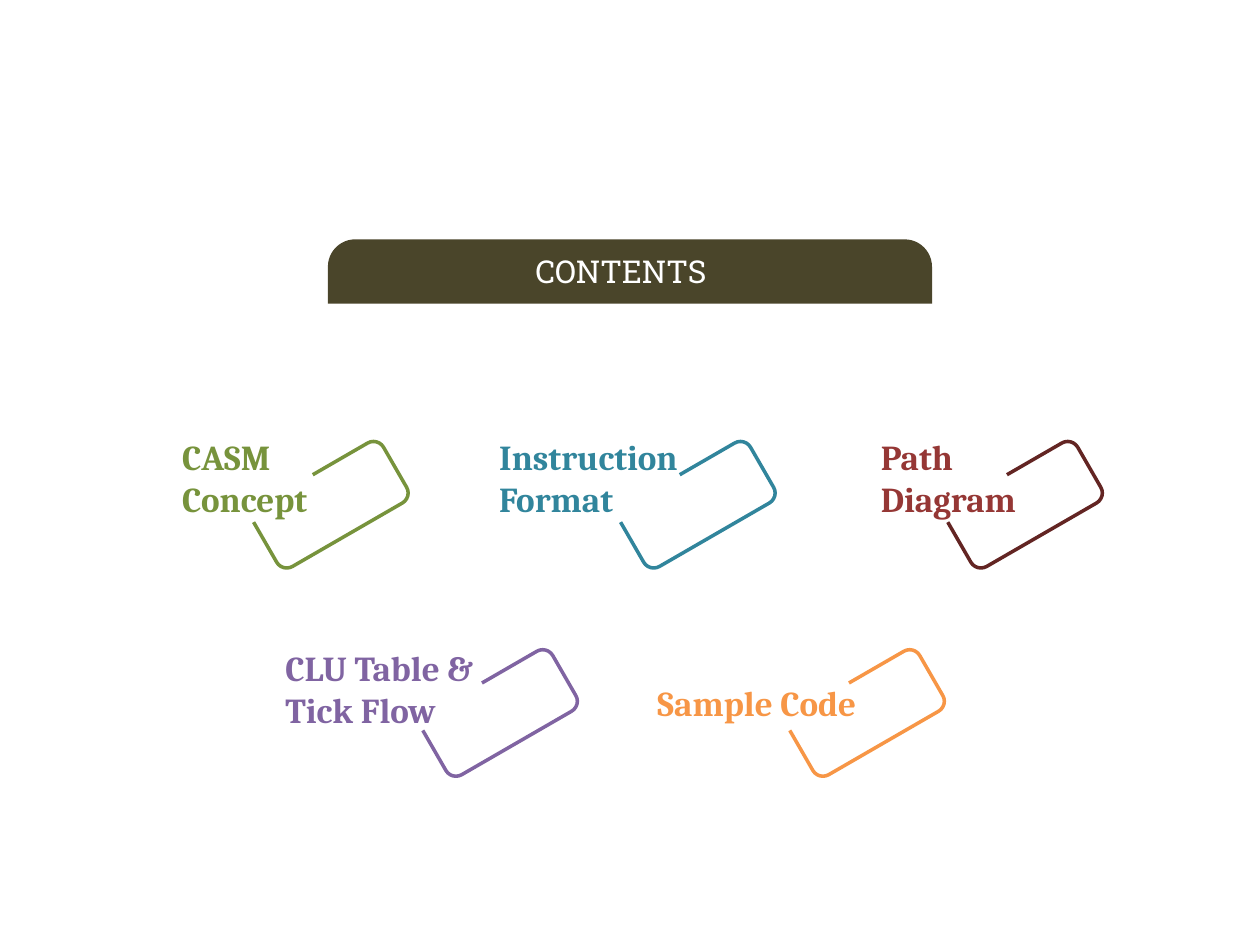
from lxml.etree import SubElement
from pptx import Presentation
from pptx.dml.color import RGBColor
from pptx.enum.shapes import MSO_SHAPE as SHAPE
from pptx.enum.text import MSO_AUTO_SIZE as AUTO
from pptx.oxml.ns import qn
from pptx.util import Pt


def rgb(color):
    return RGBColor.from_string(color)


class Deck:
    """Draws the contents banner and its topics on one slide."""

    frame_w, frame_h, radius = 85.7, 39.6, 6.6

    def __init__(self, prs):
        self.slide = prs.slides.add_slide(prs.slide_layouts[6])
        self.shapes = self.slide.shapes

    def banner(self, x, y, w, h, color):
        sp = self.shapes.add_shape(SHAPE.ROUND_2_SAME_RECTANGLE, Pt(x), Pt(y), Pt(w), Pt(h))
        sp.adjustments[0] = 0.425
        sp.shadow.inherit = False
        sp.fill.solid()
        sp.fill.fore_color.rgb = rgb(color)
        sp.line.fill.background()

    def text(self, x, y, w, h, text, size, font, color, bold=False):
        tf = self.shapes.add_textbox(Pt(x), Pt(y), Pt(w), Pt(h)).text_frame
        tf.text = text
        tf.word_wrap = False
        tf.auto_size = AUTO.SHAPE_TO_FIT_TEXT
        for p in tf.paragraphs:
            for r in p.runs:
                r.font.size = Pt(size)
                r.font.name = font
                r.font.bold = bold
                r.font.color.rgb = rgb(color)

    def frame(self, x, y, color):
        w, h, rad = Pt(self.frame_w), Pt(self.frame_h), Pt(self.radius)
        fb = self.shapes.build_freeform(w // 2, 0)
        fb.add_line_segments(
            [(w - rad, 0), (w, rad), (w, h - rad), (w - rad, h),
             (rad, h), (0, h - rad), (0, rad)], close=False)
        sp = fb.convert_to_shape(Pt(x), Pt(y))
        corners = list(sp._element.iter(qn("a:lnTo")))[1::2]
        for corner, start in zip(corners, (270, 0, 90)):
            arc = SubElement(corner.getparent(), qn("a:arcTo"), wR=str(rad), hR=str(rad),
                             stAng=str(start * 60000), swAng=str(90 * 60000))
            corner.getparent().replace(corner, arc)
        sp.rotation = 330
        sp.shadow.inherit = False
        sp.fill.background()
        sp.line.color.rgb = rgb(color)
        sp.line.width = Pt(2)

    def topic(self, frame_x, frame_y, frame_color, text_box, text, color):
        self.frame(frame_x, frame_y, frame_color)
        self.text(*text_box, text, 20, "Cambria", color, bold=True)


def main():
    prs = Presentation()
    prs.slide_width, prs.slide_height = Pt(720), Pt(540)
    deck = Deck(prs)
    deck.banner(187.4, 136.8, 345.2, 36.8, "4A452A")
    deck.text(298.8, 140.4, 121.7, 28.8, "CONTENTS", 18, "Roboto Slab", "FFFFFF")

    upper, lower = 268.6, 387.6
    topics = [
        (145.8, upper, "77933C", (97, 245.5, 89.3, 55.4), "CASM\nConcept", "77933C"),
        (355.5, upper, "31859C", (278.2, 245.5, 118.8, 55.4), "Instruction\nFormat", "31859C"),
        (542.5, upper, "632523", (496.2, 245.5, 94.3, 55.4), "Path\nDiagram", "953735"),
        (242.5, lower, "8064A2", (156, 365.8, 127.4, 55.4), "CLU Table &\nTick Flow", "8064A2"),
        (452.2, lower, "F79646", (368.6, 385.9, 133.2, 31.7), "Sample Code", "F79646"),
    ]
    for topic in topics:
        deck.topic(*topic)
    prs.save("out.pptx")


if __name__ == "__main__":
    main()
